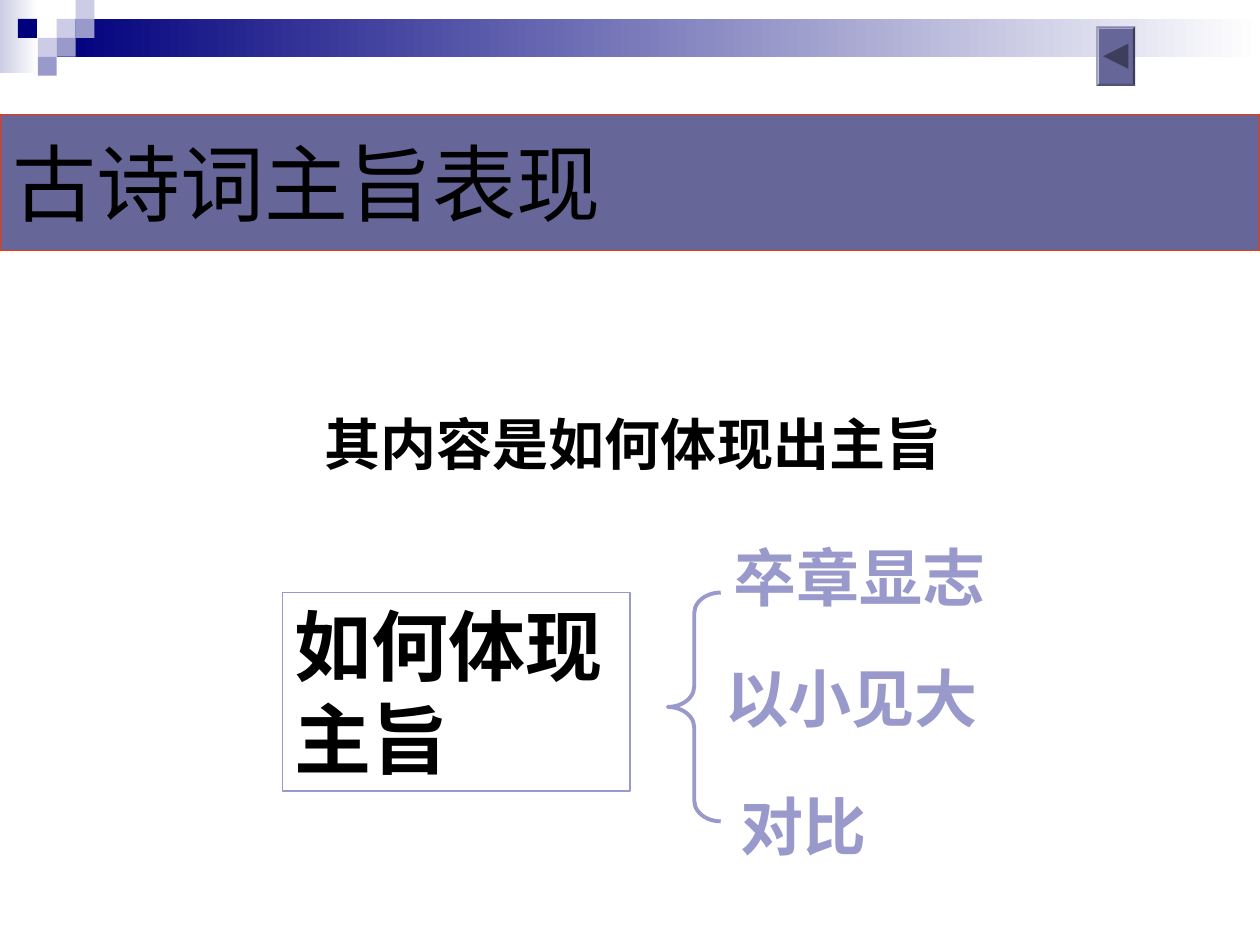
import dataclasses

import pptx
import pptx.dml.color
import pptx.enum.shapes
import pptx.enum.text
import pptx.util

COLOURS = {
    "navy": "00007D",
    "lavender": "9999CC",
    "pale": "CCCCE6",
    "slate": "666699",
    "arrow": "3D3D5C",
    "red": "FF3300",
    "black": "000000",
    "white": "FFFFFF",
}
SHAPES = pptx.enum.shapes.MSO_SHAPE
ALIGN = pptx.enum.text.PP_ALIGN
ANCHOR = pptx.enum.text.MSO_ANCHOR


@dataclasses.dataclass
class Box:
    left: float
    top: float
    width: float
    height: float

    def share(self, left, top, width, height):
        return Box(
            self.left + left * self.width,
            self.top + top * self.height,
            width * self.width,
            height * self.height,
        )

    def lengths(self):
        return [pptx.util.Inches(side) for side in dataclasses.astuple(self)]


def colour(name):
    return pptx.dml.color.RGBColor.from_string(COLOURS[name])


def paint(shape, fill=None, line=None, weight=0.75):
    if fill:
        shape.fill.solid()
        shape.fill.fore_color.rgb = colour(fill)
    else:
        shape.fill.background()
    if line:
        shape.line.color.rgb = colour(line)
        shape.line.width = pptx.util.Pt(weight)
    else:
        shape.line.fill.background()


def add_shape(page, kind, box, fill=None, line=None, weight=0.75):
    shape = page.shapes.add_shape(kind, *box.lengths())
    shape.shadow.inherit = False
    paint(shape, fill, line, weight)
    return shape


def add_fade(page, box, start):
    shape = add_shape(page, SHAPES.RECTANGLE, box)
    shape.fill.gradient()
    shape.fill.gradient_angle = 0
    for stop, name in zip(shape.fill.gradient_stops, (start, "white")):
        stop.color.rgb = colour(name)


def write(shape, text, size, name="black", font="Arial", bold=True, anchor=ANCHOR.TOP):
    frame = shape.text_frame
    frame.word_wrap = True
    frame.auto_size = pptx.enum.text.MSO_AUTO_SIZE.NONE
    frame.vertical_anchor = anchor
    para = frame.paragraphs[0]
    para.alignment = ALIGN.LEFT
    span = para.add_run()
    span.text = text
    span.font.name = font
    span.font.size = pptx.util.Pt(size)
    span.font.bold = bold
    span.font.color.rgb = colour(name)


def add_label(page, box, text, size, name="black"):
    write(page.shapes.add_textbox(*box.lengths()), text, size, name)


def draw_header(page, box):
    add_fade(page, box.share(0, 0, 0.03, 0.97), "pale")
    add_fade(page, box.share(0.045, 0.25, 0.955, 0.5), "navy")
    squares = [
        (3, 1, "pale"), (4, 0, "pale"), (4, 1, "lavender"), (2, 2, "pale"),
        (0.95, 1, "navy"), (3, 2, "lavender"), (2, 3, "lavender"),
    ]
    for column, row, name in squares:
        square = box.share(column * 0.015, row / 4, 0.015, 1 / 4)
        add_shape(page, SHAPES.RECTANGLE, square, name)


def draw_title(page, box):
    title = page.shapes.title
    title.left, title.top, title.width, title.height = box.lengths()
    paint(title, "slate", "red")
    write(title, "古诗词主旨表现", 48, bold=False, anchor=ANCHOR.MIDDLE)


def draw_diagram(page, box):
    theme = add_shape(page, SHAPES.RECTANGLE, box.share(0, 0.18, 0.46, 0.59), line="lavender")
    write(theme, "如何体现主旨", 44, font="Times New Roman")
    brace = add_shape(
        page, SHAPES.LEFT_BRACE, box.share(0.51, 0.18, 0.07, 0.68), line="lavender", weight=2.25
    )
    brace.adjustments[0] = 0.39
    brace.adjustments[1] = 0.5
    methods = [("卒章显志", 0.58, 0), ("以小见大", 0.57, 0.36), ("对比", 0.59, 0.74)]
    for text, left, top in methods:
        add_label(page, box.share(left, top, 0.42, 0.26), text, 36, "lavender")


def draw_back_button(page, box):
    button = add_shape(page, SHAPES.BEVEL, box, "slate")
    button.adjustments[0] = 0.06
    side = 0.2
    arrow_box = Box(
        box.left + (box.width - side) / 2, box.top + (box.height - side) / 2, side, side
    )
    arrow = add_shape(page, SHAPES.ISOSCELES_TRIANGLE, arrow_box, "arrow")
    arrow.rotation = 270


def main():
    deck = pptx.Presentation()
    whole = Box(0, 0, 10, 7.5)
    deck.slide_width = pptx.util.Inches(whole.width)
    deck.slide_height = pptx.util.Inches(whole.height)
    page = deck.slides.add_slide(deck.slide_layouts[5])
    draw_header(page, whole.share(0, 0, 1, 0.08))
    add_label(page, whole.share(0.248, 0.427, 0.535, 0.085), "其内容是如何体现出主旨", 32)
    draw_title(page, whole.share(0, 0.121, 1, 0.144))
    draw_diagram(page, whole.share(0.224, 0.563, 0.6, 0.356))
    draw_back_button(page, whole.share(0.87, 0.028, 0.031, 0.063))
    deck.save("out.pptx")


if __name__ == "__main__":
    main()
